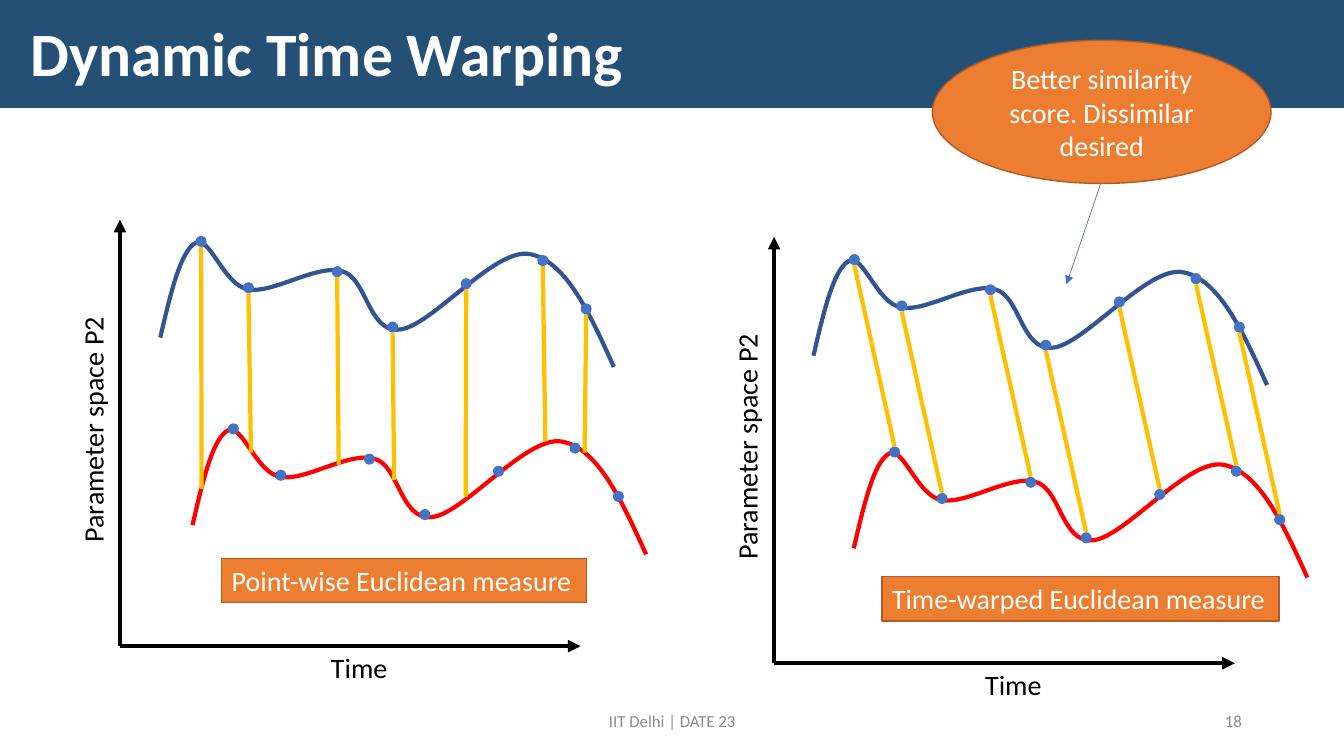
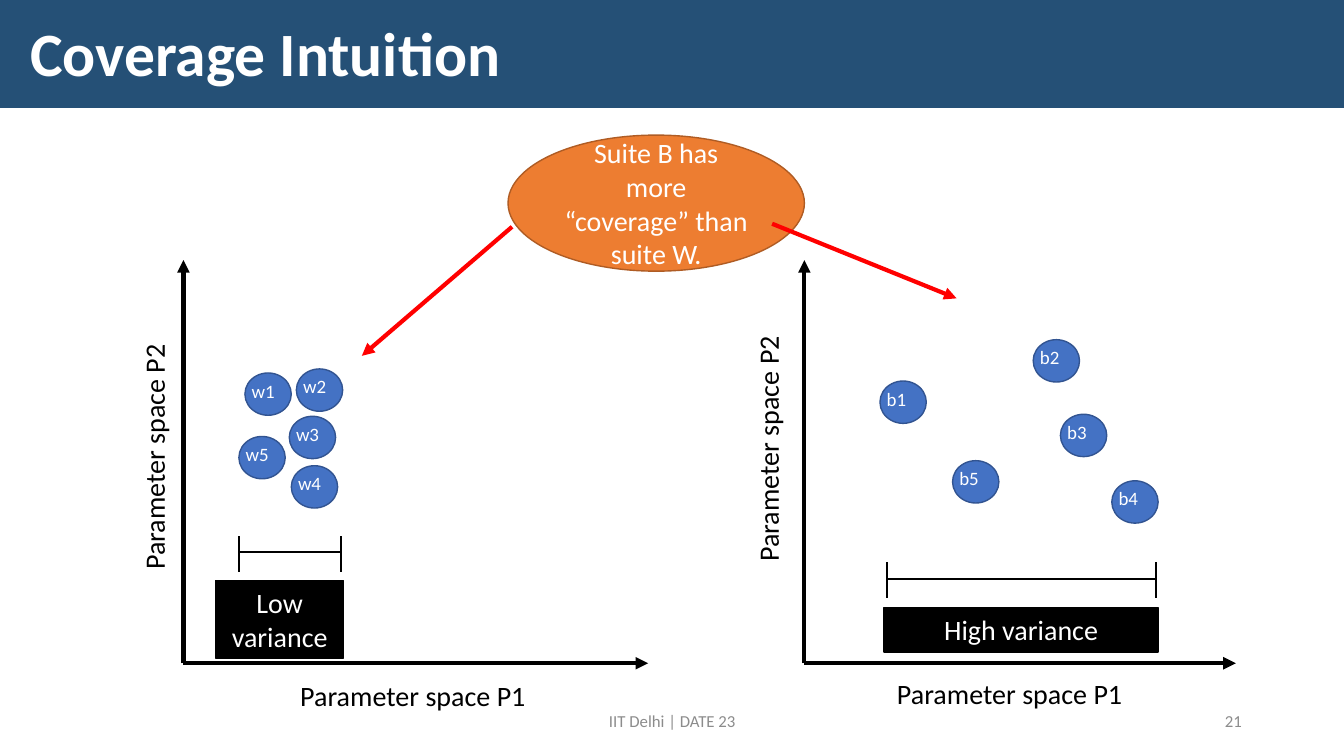
from copy import deepcopy

from pptx import Presentation
from pptx.dml.color import RGBColor
from pptx.enum.shapes import MSO_CONNECTOR, MSO_SHAPE as SHAPE, PP_PLACEHOLDER as PH
from pptx.enum.text import MSO_ANCHOR as ANCHOR, MSO_AUTO_SIZE as FIT, PP_ALIGN as ALIGN
from pptx.oxml.ns import qn
from pptx.util import Inches, Pt
from lxml.etree import SubElement

# Shared look
COLORS = {
    "band": "255076", "white": "FFFFFF", "black": "000000", "grey": "8C8C8C",
    "blue": "4472C4", "navy": "325491", "red": "FF0000", "gold": "FFC000",
    "orange": "ED7D31", "rust": "AF5C24",
}
FONT = "Calibri"
FOOTER = "IIT Delhi | DATE 23"

# Grid of square cells, ten to the inch
COLUMNS, ROWS = 133.33, 75
LINE_HEIGHT = 4.4
DOT = 1.1

# Wave outline and samples, in cells from the wave's own corner
WAVE = [(0, 9.5), (1, 5.2), (2, 0.9), (3.5, 0.1), (4.9, -0.7), (6.3, 4.3), (8.7, 4.7),
        (11.1, 5.2), (15.5, 2.2), (18, 2.9), (20.5, 3.5), (20.6, 9), (23.7, 8.7),
        (26.8, 8.5), (33.1, 0.6), (36.6, 1.2), (40.2, 1.8), (42.6, 7.1), (45, 12.4)]
SAMPLES = [(3.5, -0.6), (8.2, 4), (17, 2.4), (22.5, 7.9), (29.8, 3.6), (37.4, 1.3), (41.7, 6.1)]


def cells(count):
    return round(count * Inches(0.1))


def rgb(name):
    return RGBColor.from_string(COLORS[name])


def write(frame, text, size, color, align=ALIGN.LEFT, anchor=ANCHOR.TOP, bold=False):
    frame.text = text
    frame.vertical_anchor = anchor
    for paragraph in frame.paragraphs:
        paragraph.alignment = align
        font = paragraph.font
        font.name, font.size, font.bold = FONT, Pt(size), bold
        font.color.rgb = rgb(color)


def add_shape(slide, kind, box, fill, outline=None):
    shape = slide.shapes.add_shape(kind, *map(cells, box))
    shape.shadow.inherit = False
    shape.fill.solid()
    shape.fill.fore_color.rgb = rgb(fill)
    if outline:
        shape.line.color.rgb = rgb(outline)
        shape.line.width = Pt(1)
    else:
        shape.line.fill.background()
    return shape


def add_line(slide, start, end, color, width=3, arrow=False):
    line = slide.shapes.add_connector(MSO_CONNECTOR.STRAIGHT, *map(cells, (*start, *end)))
    line.line.color.rgb = rgb(color)
    line.line.width = Pt(width)
    properties = line._element.spPr
    if arrow:
        SubElement(properties.find(qn("a:ln")), qn("a:tailEnd"), type="triangle")
    SubElement(properties, qn("a:effectLst"))


def add_label(slide, text, center, width=24.6, rotation=0):
    x, y = center
    box = (x - width / 2, y - LINE_HEIGHT / 2, width, LINE_HEIGHT)
    label = slide.shapes.add_textbox(*map(cells, box))
    label.rotation = rotation
    label.text_frame.word_wrap = False
    label.text_frame.auto_size = FIT.SHAPE_TO_FIT_TEXT
    write(label.text_frame, text, 20, "black")


def add_tag(slide, text, box, fill, outline, align=ALIGN.LEFT):
    tag = add_shape(slide, SHAPE.RECTANGLE, box, fill, outline)
    tag.text_frame.word_wrap = True
    write(tag.text_frame, text, 20, "white", align)


def add_callout(slide, text, box):
    callout = add_shape(slide, SHAPE.OVAL, box, "orange", "rust")
    callout.text_frame.word_wrap = True
    write(callout.text_frame, text, 20, "white", ALIGN.CENTER, ANCHOR.MIDDLE)


def add_axes(slide, origin, right, top):
    x, y = origin
    add_line(slide, origin, (right, y), "black", arrow=True)
    add_line(slide, origin, (x, top), "black", arrow=True)


# Time series
def add_curve(slide, points, color):
    start, *rest = [tuple(map(cells, point)) for point in points]
    builder = slide.shapes.build_freeform(*start)
    builder.add_line_segments(rest, close=False)
    curve = builder.convert_to_shape()
    curve.shadow.inherit = False
    curve.fill.background()
    curve.line.color.rgb = rgb(color)
    curve.line.width = Pt(3)
    # Every three segments become one Bézier segment
    outline = next(curve._element.iter(qn("a:path")))
    segments = outline.findall(qn("a:lnTo"))
    for first, second, third in zip(*[iter(segments)] * 3):
        first.tag = qn("a:cubicBezTo")
        for other in (second, third):
            first.append(other[0])
            outline.remove(other)


def add_wave(slide, corner, color):
    """Draw a wave with its sample dots; return the dots' top centres."""
    left, top = corner
    add_curve(slide, [(left + x, top + y) for x, y in WAVE], color)
    for x, y in SAMPLES:
        add_shape(slide, SHAPE.FLOWCHART_CONNECTOR, (left + x, top + y, DOT, DOT), "blue")
    return [(left + x + DOT / 2, top + y) for x, y in SAMPLES]


def add_series_panel(slide, origin, upper, lower, matches=None):
    x, y = origin
    add_axes(slide, origin, x + 45.7, y - 42.3)
    add_label(slide, "Time", (x + 23.8, y + 2.1), 7.7)
    add_label(slide, "Parameter space P2", (x - 2.7, y - 21.6), rotation=270)
    upper_dots = add_wave(slide, upper, "navy")
    lower_dots = add_wave(slide, lower, "red")
    for (dot_x, dot_y), match in zip(upper_dots, matches or lower_dots):
        add_line(slide, (dot_x, dot_y + DOT), match, "gold")


# Scatter plots
def add_scatter_panel(slide, origin, right, x_label, y_label, points):
    add_axes(slide, origin, right, 25.8)
    for name, (x, y) in points.items():
        bubble = add_shape(slide, SHAPE.FLOWCHART_CONNECTOR, (x, y, 4.6, 4.2), "blue", "navy")
        frame = bubble.text_frame
        frame.margin_left = frame.margin_right = frame.margin_top = frame.margin_bottom = 0
        write(frame, name, 13.5, "white")
    add_label(slide, "Parameter space P1", x_label)
    add_label(slide, "Parameter space P2", y_label, rotation=270)


def add_spread(slide, left, right, top, text, tag):
    for x in (left, right):
        add_line(slide, (x, top), (x, top + 3.5), "black", 1.5)
    add_line(slide, (left, top + 1.6), (right, top + 1.6), "black", 1.5)
    add_tag(slide, text, tag, "black", "black", ALIGN.CENTER)


# Template
def place(shape, box):
    shape.left, shape.top, shape.width, shape.height = map(cells, box)


def dress_layout(layout, slide):
    band = add_shape(slide, SHAPE.RECTANGLE, (0, 0, COLUMNS, 10.7), "band")
    layout.shapes._spTree.insert(2, band._element)
    boxes = {PH.TITLE: (2, 1.4, 129.4, 8.4), PH.FOOTER: (44.2, 69.5, 45, 4),
             PH.SLIDE_NUMBER: (94.2, 69.5, 30, 4)}
    for holder in layout.placeholders:
        if holder.placeholder_format.type in boxes:
            place(holder, boxes[holder.placeholder_format.type])


def fill_template(slide, title, number):
    heading = slide.shapes.title.text_frame
    write(heading, title, 44, "white", anchor=ANCHOR.MIDDLE, bold=True)
    heading.paragraphs[0].line_spacing = 0.9
    footers = {PH.FOOTER: (FOOTER, ALIGN.CENTER), PH.SLIDE_NUMBER: (str(number), ALIGN.RIGHT)}
    for holder in slide.slide_layout.placeholders:
        if holder.placeholder_format.type in footers:
            slide.shapes._spTree.append(deepcopy(holder._element))
    for holder in slide.placeholders:
        if holder.placeholder_format.type in footers:
            text, align = footers[holder.placeholder_format.type]
            write(holder.text_frame, text, 12, "grey", align, ANCHOR.MIDDLE)


# Slides
def build_warping(slide):
    fill_template(slide, "Dynamic Time Warping", 18)
    same_time = [(20, 48.5), (24.9, 44.9), (33.6, 46.1), (39.1, 47.6),
                 (46.2, 49.3), (54.1, 43.8), (58, 44.9)]
    add_series_panel(slide, (11.9, 64.1), (15.9, 24), (19.1, 42.6), same_time)
    add_series_panel(slide, (76.8, 65.8), (80.7, 25.8), (84.7, 44.9))
    add_tag(slide, "Point-wise Euclidean measure", (22, 55.4, 36.2, LINE_HEIGHT), "orange", "rust")
    add_tag(slide, "Time-warped Euclidean measure", (87.5, 57.2, 39.4, LINE_HEIGHT),
            "orange", "rust")
    add_callout(slide, "Better similarity score. Dissimilar desired", (92.5, 4, 33.6, 14.2))
    add_line(slide, (109.2, 18.2), (105.8, 28.2), "blue", 0.5, arrow=True)


def build_coverage(slide):
    fill_template(slide, "Coverage Intuition", 21)
    suite_w = {"w1": (24.3, 37), "w2": (29.4, 36.6), "w3": (28.7, 41.3),
               "w4": (28.9, 46.2), "w5": (23.7, 43.3)}
    suite_b = {"b1": (87.3, 37.8), "b2": (102.5, 33.7), "b3": (105.2, 41.1),
               "b4": (110.3, 47.7), "b5": (94.5, 45.7)}
    add_scatter_panel(slide, (18.2, 65.8), 64.3, (41.1, 69), (15.3, 45.2), suite_w)
    add_scatter_panel(slide, (79.8, 65.8), 122.6, (100.3, 68.8), (76.2, 44.4), suite_b)
    add_callout(slide, "Suite B has more “coverage” than suite W.", (50.4, 13.4, 29.4, 13.5))
    add_line(slide, (50.8, 22.5), (35.9, 35.3), "red", arrow=True)
    add_line(slide, (76.6, 22.2), (94.9, 29.6), "red", arrow=True)
    add_spread(slide, 23.7, 33.8, 53.2, "Low\nvariance", (21.4, 57.6, 12.7, 7.7))
    add_spread(slide, 88, 114.7, 55.8, "High variance", (87.7, 60.3, 27.2, LINE_HEIGHT))


def main():
    deck = Presentation()
    deck.slide_width, deck.slide_height = cells(COLUMNS), cells(ROWS)
    layout = deck.slide_layouts.get_by_name("Title Only")
    warping, coverage = (deck.slides.add_slide(layout) for _ in range(2))
    dress_layout(layout, warping)
    build_warping(warping)
    build_coverage(coverage)
    deck.save("out.pptx")


if __name__ == "__main__":
    main()
